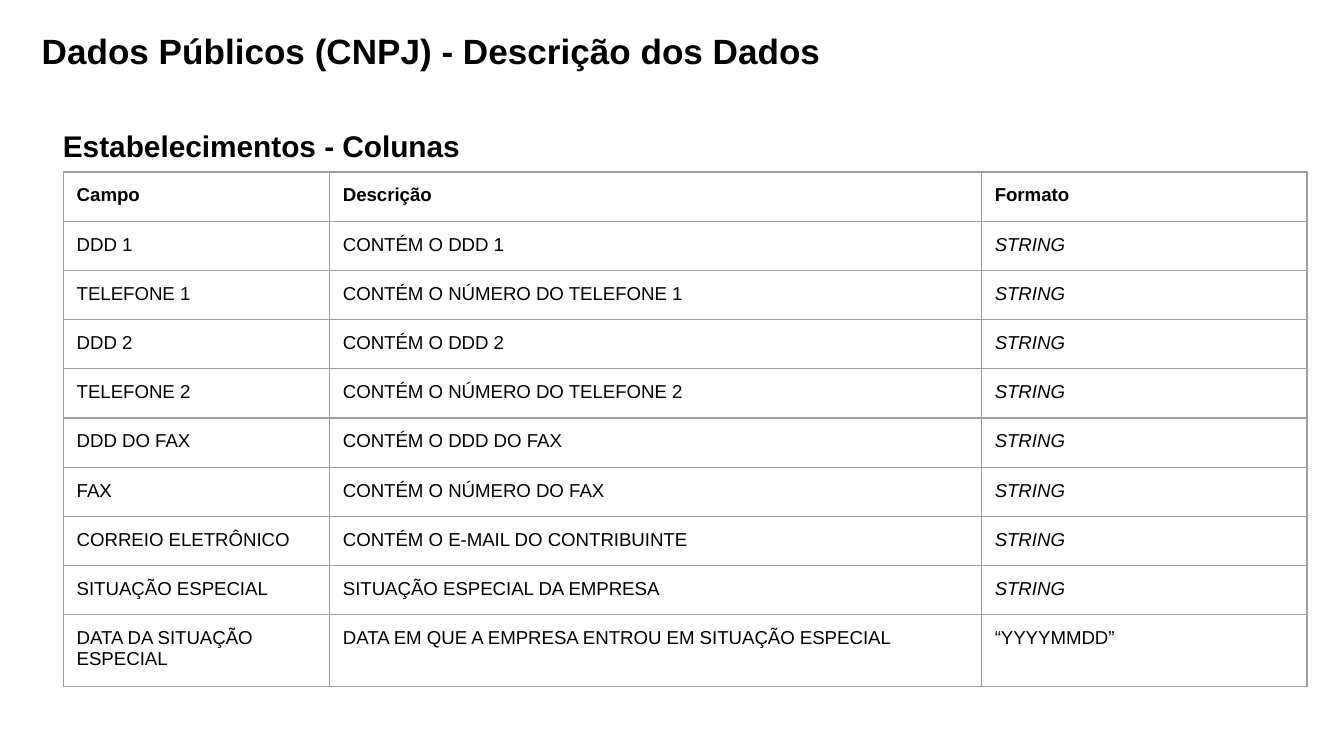
from lxml import etree
from pptx import Presentation
from pptx.dml.color import RGBColor
from pptx.enum import text
from pptx.oxml import ns
from pptx.util import Cm, Pt

COLORS = {"text": "000000", "border": "9E9E9E", "background": "FFFFFF"}
FONT = "Arial"


def write(frame, content, size, inset, bold=False, italic=False):
    frame.text = content
    frame.word_wrap = True
    frame.vertical_anchor = text.MSO_ANCHOR.TOP
    frame.margin_left = frame.margin_right = Cm(inset)
    frame.margin_top = frame.margin_bottom = Cm(inset)
    font = frame.paragraphs[0].runs[0].font
    font.name, font.size, font.bold, font.italic = FONT, Pt(size), bold, italic
    font.color.rgb = RGBColor.from_string(COLORS["text"])


def add_borders(cell):
    properties = cell._tc.get_or_add_tcPr()
    for position, side in enumerate(("lnL", "lnR", "lnT", "lnB")):
        line = etree.Element(ns.qn(f"a:{side}"), w=str(Pt(0.75)))
        fill = etree.SubElement(line, ns.qn("a:solidFill"))
        etree.SubElement(fill, ns.qn("a:srgbClr"), val=COLORS["border"])
        properties.insert(position, line)


presentation = Presentation()
presentation.slide_width, presentation.slide_height = Cm(25.4), Cm(14.29)
slide = presentation.slides.add_slide(presentation.slide_layouts[6])
slide.background.fill.solid()
slide.background.fill.fore_color.rgb = RGBColor.from_string(COLORS["background"])

title = slide.shapes.add_textbox(Cm(0.28), Cm(0.15), Cm(24.26), Cm(1.47))
write(title.text_frame, "Dados Públicos (CNPJ) - Descrição dos Dados", 18.8, 0.51, bold=True)

subtitle = slide.shapes.add_textbox(Cm(0.94), Cm(2.16), Cm(23.6), Cm(1.19))
write(subtitle.text_frame, "Estabelecimentos - Colunas", 16, 0.25, bold=True)
subtitle.text_frame.auto_size = text.MSO_AUTO_SIZE.SHAPE_TO_FIT_TEXT

fields = [
    ("Campo", "Descrição", "Formato"),
    ("DDD 1", "CONTÉM O DDD 1", "STRING"),
    ("TELEFONE 1", "CONTÉM O NÚMERO DO TELEFONE 1", "STRING"),
    ("DDD 2", "CONTÉM O DDD 2", "STRING"),
    ("TELEFONE 2", "CONTÉM O NÚMERO DO TELEFONE 2", "STRING"),
    ("DDD DO FAX", "CONTÉM O DDD DO FAX", "STRING"),
    ("FAX", "CONTÉM O NÚMERO DO FAX", "STRING"),
    ("CORREIO ELETRÔNICO", "CONTÉM O E-MAIL DO CONTRIBUINTE", "STRING"),
    ("SITUAÇÃO ESPECIAL", "SITUAÇÃO ESPECIAL DA EMPRESA", "STRING"),
    ("DATA DA SITUAÇÃO ESPECIAL", "DATA EM QUE A EMPRESA ENTROU EM SITUAÇÃO ESPECIAL", "“YYYYMMDD”"),
]
column_widths = [5.03, 12.32, 6.15]
row_heights = [0.93] * (len(fields) - 1) + [1.36]

columns_table = slide.shapes.add_table(
    len(fields), len(column_widths), Cm(1.2), Cm(3.25),
    Cm(sum(column_widths)), Cm(sum(row_heights)),
).table
columns_table.first_row = False
columns_table.horz_banding = False
for column, width in zip(columns_table.columns, column_widths):
    column.width = Cm(width)

for row_index, (row, height, field) in enumerate(zip(columns_table.rows, row_heights, fields)):
    row.height = Cm(height)
    for cell, content in zip(row.cells, field):
        write(cell.text_frame, content, 10, 0.25, bold=row_index == 0, italic=content == "STRING")
        cell.margin_left = cell.margin_right = Cm(0.25)
        cell.margin_top = cell.margin_bottom = Cm(0.25)
        cell.vertical_anchor = text.MSO_ANCHOR.TOP
        cell.fill.background()
        add_borders(cell)

presentation.save("out.pptx")
